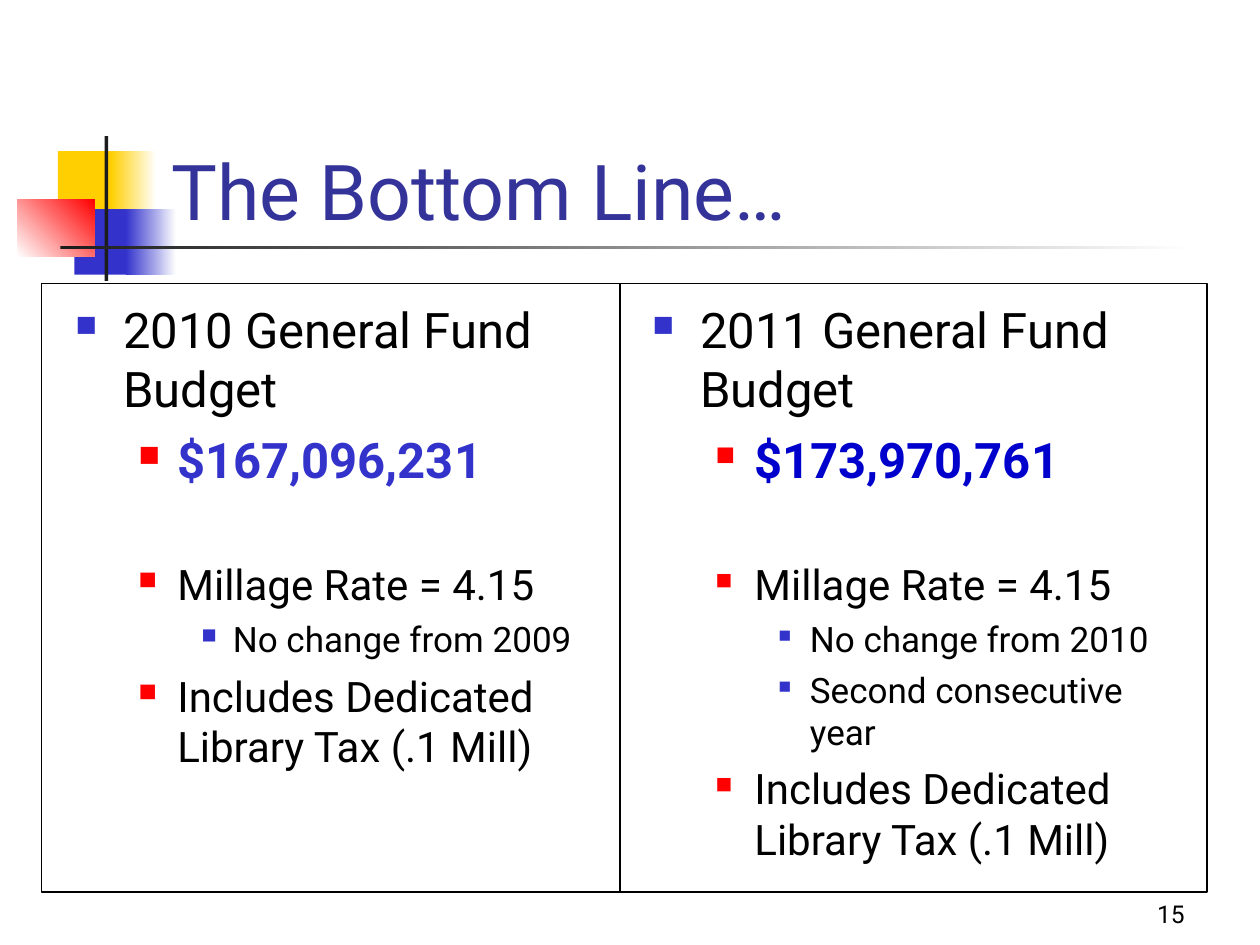
from lxml import etree
from pptx import Presentation
from pptx.dml.color import RGBColor
from pptx.enum.shapes import MSO_CONNECTOR as Connector, MSO_SHAPE as Shape
from pptx.enum.text import MSO_ANCHOR as Anchor, PP_ALIGN as Align
from pptx.oxml.ns import qn
from pptx.util import Inches, Pt

FONT = "Roboto"
COLORS = {
    "yellow": "FFCF01", "blue": "3333CC", "red": "FF0000", "white": "FFFFFF",
    "dark": "1C1C1C", "title": "333399", "black": "000000", "deep": "0000CC",
}
LEVELS = [
    {"left": 0.38, "hang": 0.38, "size": 28, "before": 7, "bullet": "blue"},
    {"left": 0.81, "hang": 0.31, "size": 24, "before": 6, "bullet": "red"},
    {"left": 1.25, "hang": 0.25, "size": 20, "before": 5, "bullet": "blue"},
]


def rgb(name):
    return RGBColor.from_string(COLORS[name])


def add_block(page, left, top, width, height, start, end=None, angle=0):
    block = page.shapes.add_shape(
        Shape.RECTANGLE, Inches(left), Inches(top), Inches(width), Inches(height))
    block.shadow.inherit = False
    block.line.fill.background()
    if end:
        block.fill.gradient()
        block.fill.gradient_angle = angle
        for stop, name in zip(block.fill.gradient_stops, (start, end)):
            stop.color.rgb = rgb(name)
    else:
        block.fill.solid()
        block.fill.fore_color.rgb = rgb(start)


def add_frame(page, left, top, width, height, divider):
    frame = page.shapes.add_shape(
        Shape.RECTANGLE, Inches(left), Inches(top), Inches(width), Inches(height))
    frame.shadow.inherit = False
    frame.fill.background()
    rule = page.shapes.add_connector(
        Connector.STRAIGHT, Inches(divider), Inches(top),
        Inches(divider), Inches(top + height))
    etree.SubElement(rule._element.spPr, qn("a:effectLst"))
    for outline in (frame.line, rule.line):
        outline.color.rgb = rgb("black")
        outline.width = Pt(0.75)


def add_box(page, left, top, width, height, anchor=Anchor.TOP):
    box = page.shapes.add_textbox(
        Inches(left), Inches(top), Inches(width), Inches(height))
    box.text_frame.word_wrap = True
    box.text_frame.vertical_anchor = anchor
    return box.text_frame


def write(para, text, size, color="black", bold=False, align=Align.LEFT):
    para.alignment = align
    span = para.add_run()
    span.text = text
    span.font.name = FONT
    span.font.size = Pt(size)
    span.font.bold = bold
    span.font.color.rgb = rgb(color)


def add_bullet(para, level, percent):
    props = para._p.get_or_add_pPr()
    props.set("marL", str(Inches(level["left"])))
    props.set("indent", str(-Inches(level["hang"])))
    color = etree.SubElement(props, qn("a:buClr"))
    etree.SubElement(color, qn("a:srgbClr"), val=COLORS[level["bullet"]])
    etree.SubElement(props, qn("a:buSzPct"), val=str(percent * 1000))
    etree.SubElement(props, qn("a:buChar"), char="■")


def add_budget(page, left, width, items, percents):
    frame = add_box(page, left, 2.33, width, 4.5)
    for index, (depth, text, changes) in enumerate(items):
        level = {**LEVELS[depth], **changes}
        para = frame.paragraphs[0] if index == 0 else frame.add_paragraph()
        add_bullet(para, level, percents[depth])
        if index:
            para.space_before = Pt(level["before"])
        write(para, text, level["size"], level.get("color", "black"),
              level.get("bold", False))


def budget_items(year, amount, color, notes):
    return [
        (0, f"{year} General Fund Budget", {}),
        (1, amount, {"size": 28, "before": 7, "color": color, "bold": True}),
        (1, "Millage Rate = 4.15", {"before": 40}),
        *[(2, note, {}) for note in notes],
        (1, "Includes Dedicated Library Tax (.1 Mill)", {}),
    ]


def main():
    deck = Presentation()
    deck.slide_width, deck.slide_height = Inches(10), Inches(7.5)
    page = deck.slides.add_slide(deck.slide_layouts[6])

    add_block(page, 0.46, 1.2, 0.48, 0.52, "yellow")
    add_block(page, 0.88, 1.2, 0.36, 0.52, "yellow", "white")
    add_block(page, 0.59, 1.66, 0.46, 0.52, "blue")
    add_block(page, 1, 1.66, 0.4, 0.52, "blue", "white")
    add_block(page, 0.14, 1.58, 0.61, 0.46, "white", "red", angle=45)
    add_block(page, 0.83, 1.08, 0.03, 1.15, "dark")
    add_block(page, 0.48, 1.95, 9, 0.03, "dark", "white")

    number = add_box(page, 7.42, 6.92, 2.08, 0.5, Anchor.BOTTOM)
    write(number.paragraphs[0], "15", 14, align=Align.RIGHT)
    title = add_box(page, 1.26, 0.67, 8.52, 1.25, Anchor.BOTTOM)
    write(title.paragraphs[0], "The Bottom Line…", 44, "title")

    add_budget(page, 0.5, 4.17, budget_items(
        2010, "$167,096,231", "blue", ["No change from 2009"]), (60, 60, 60))
    add_budget(page, 5.08, 4.5, budget_items(
        2011, "$173,970,761", "deep",
        ["No change from 2010", "Second consecutive year"]), (60, 55, 50))
    add_frame(page, 0.33, 2.25, 9.25, 4.83, divider=4.92)

    deck.save("out.pptx")


if __name__ == "__main__":
    main()
